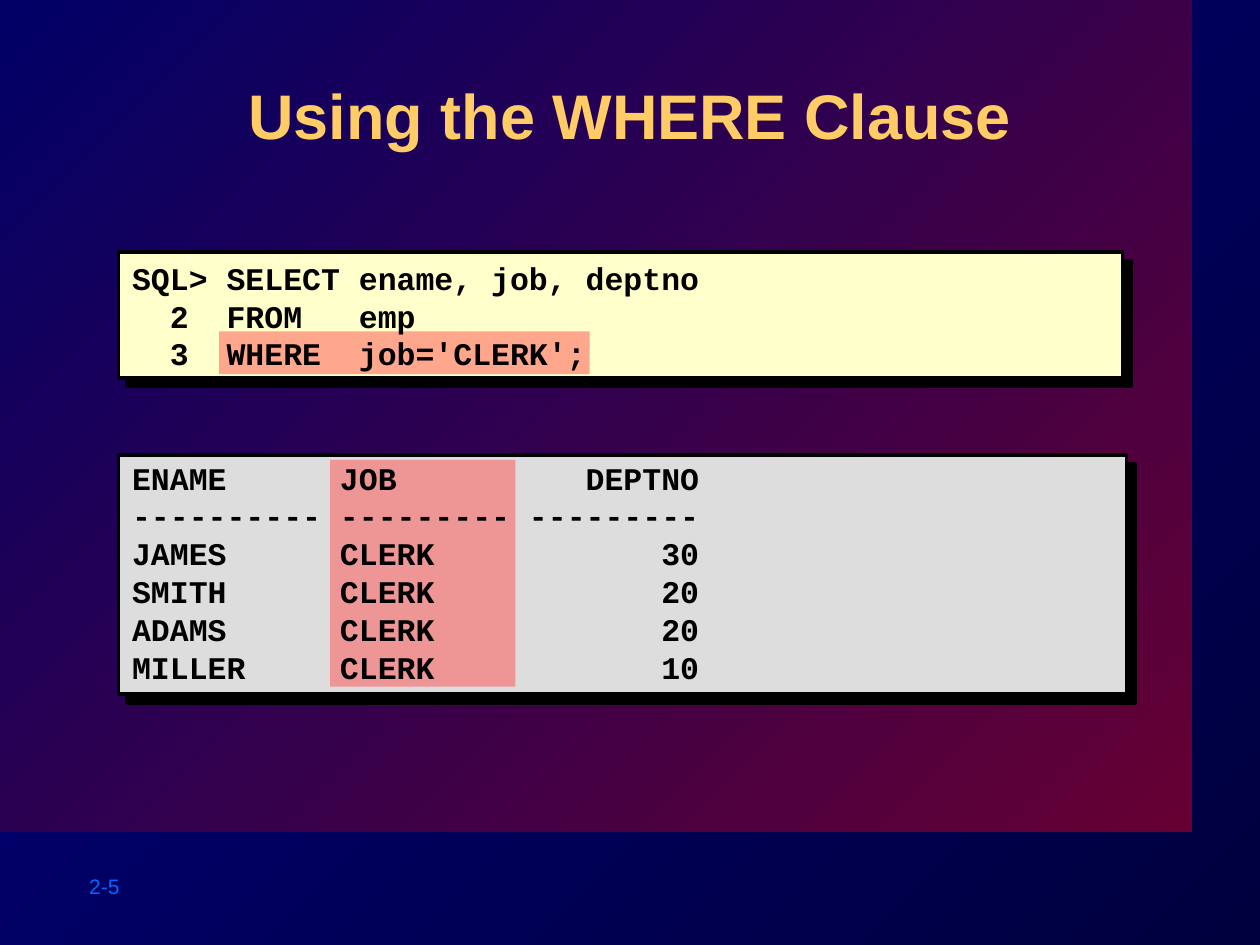
from lxml import etree
from pptx import Presentation
from pptx.dml.color import RGBColor
from pptx.enum.shapes import MSO_SHAPE
from pptx.enum.text import MSO_ANCHOR, PP_ALIGN
from pptx.oxml import parse_xml
from pptx.oxml.ns import nsdecls, qn
from pptx.util import Inches, Pt

SHADOW = (
    f'<a:effectLst {nsdecls("a")}><a:outerShdw dist="90170" dir="2700000" algn="ctr" '
    'rotWithShape="0"><a:srgbClr val="000000"/></a:outerShdw></a:effectLst>'
)


def rgb(value):
    return RGBColor.from_string(value)


def add_text(box, lines, font_name, size, color, bold=False):
    area = slide.shapes.add_textbox(*map(Inches, box))
    frame = area.text_frame
    frame.word_wrap = True
    frame.text = "\n".join(lines)
    for paragraph in frame.paragraphs:
        font = paragraph.font
        font.name, font.size, font.bold = font_name, Pt(size), bold
        font.color.rgb = rgb(color)
    return frame


prs = Presentation()
prs.slide_width, prs.slide_height = Inches(10), Inches(7.5)
slide = prs.slides.add_slide(prs.slide_layouts[6])

# Gradient background with a lighter field at the top left
field = slide.shapes.add_shape(MSO_SHAPE.RECTANGLE, 0, 0, Inches(9.46), Inches(6.6))
field.shadow.inherit = False
field.line.fill.background()
for fill, colors in (
    (slide.background.fill, ("00003F", "000080")),
    (field.fill, ("660033", "000066")),
):
    fill.gradient()
    fill.gradient_angle = 135
    for stop, color in zip(fill.gradient_stops, colors):
        stop.color.rgb = rgb(color)

# Page number
add_text((0.61, 6.88, 1.11, 0.3), ["2-5"], "Arial", 12, "0066FF")

# Panels for the query and its result
for box, color in (
    ((0.94, 2, 7.97, 1), "FFFFCC"),
    ((0.94, 3.61, 8, 1.9), "DDDDDD"),
):
    panel = slide.shapes.add_shape(MSO_SHAPE.RECTANGLE, *map(Inches, box))
    panel.fill.solid()
    panel.fill.fore_color.rgb = rgb(color)
    panel.line.color.rgb = rgb("000000")
    panel.line.width = Pt(2)
    panel._element.spPr.append(parse_xml(SHADOW))

# Title with a text shadow
title = add_text((1.01, 0.56, 7.98, 0.96), ["Using the WHERE Clause"],
                 "Arial", 36, "FFCC66", bold=True).paragraphs[0]
title.alignment = PP_ALIGN.CENTER
title_font = title.runs[0].font
title_font.color.rgb = rgb("FFCC66")
title_font.fill._xPr.find(qn("a:solidFill")).addnext(parse_xml(SHADOW))

# Translucent highlights on the WHERE line and the JOB column
for box in ((1.74, 2.63, 2.94, 0.34), (2.62, 3.65, 1.47, 1.8)):
    highlight = slide.shapes.add_shape(MSO_SHAPE.RECTANGLE, *map(Inches, box))
    highlight.shadow.inherit = False
    highlight.line.fill.background()
    highlight.fill.solid()
    highlight.fill.fore_color.rgb = rgb("FF5050")
    tint = highlight._element.spPr.find(".//" + qn("a:srgbClr"))
    etree.SubElement(tint, qn("a:alpha"), val="50000")

# Query
query = add_text((0.95, 1.99, 8, 1.03), [
    "SQL> SELECT ename, job, deptno",
    "  2  FROM   emp",
    "  3  WHERE  job='CLERK';",
], "Courier New", 18, "000000", bold=True)
query.vertical_anchor = MSO_ANCHOR.MIDDLE

# Query result
add_text((0.95, 3.59, 8.03, 1.9), [
    "ENAME      JOB          DEPTNO",
    "---------- --------- ---------",
    "JAMES      CLERK            30",
    "SMITH      CLERK            20",
    "ADAMS      CLERK            20",
    "MILLER     CLERK            10",
], "Courier New", 18, "000000", bold=True)

prs.save("out.pptx")
